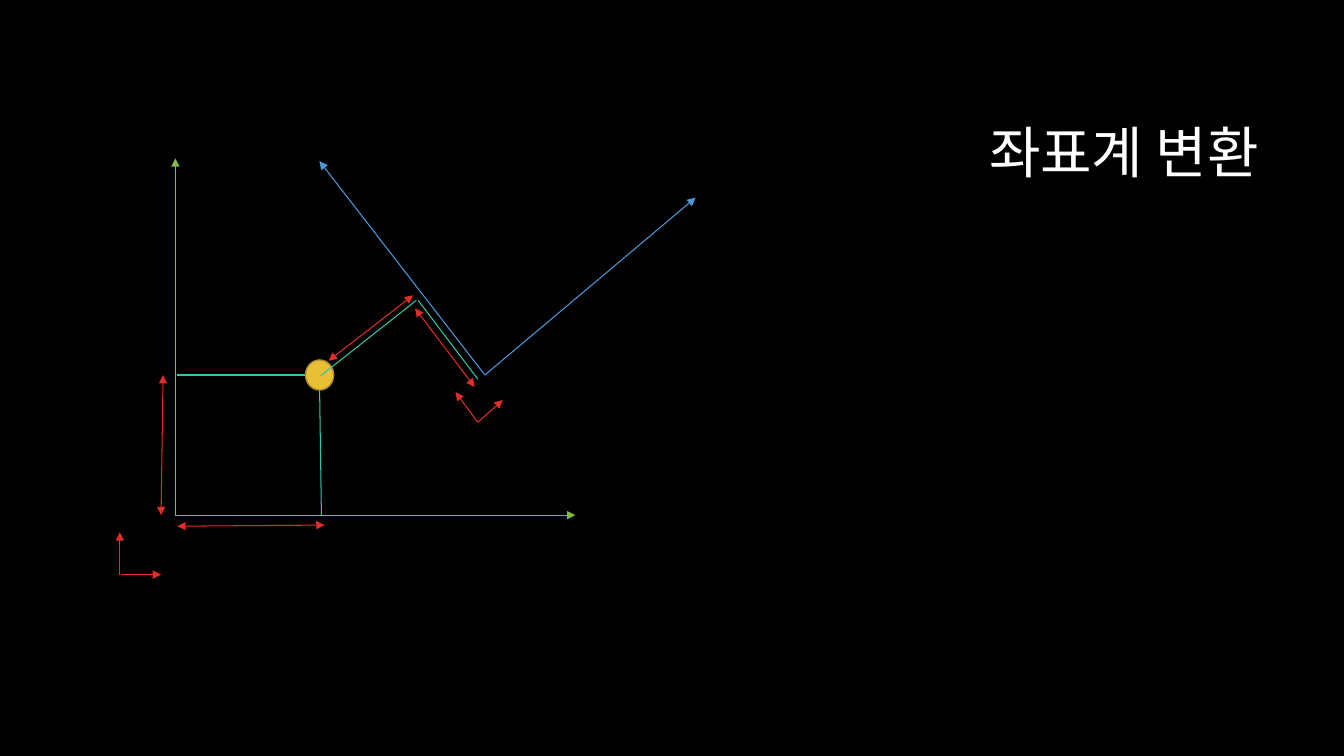
from dataclasses import dataclass

from lxml.etree import SubElement
from pptx import Presentation
from pptx.dml.color import RGBColor
from pptx.enum.shapes import MSO_CONNECTOR, MSO_SHAPE
from pptx.enum.text import MSO_ANCHOR, MSO_AUTO_SIZE, PP_ALIGN
from pptx.oxml.ns import qn
from pptx.slide import Slide
from pptx.util import Cm, Pt


@dataclass(frozen=True)
class Theme:
    background: str = "000000"
    title: str = "FFFFFF"
    world_axis: str = "81BB42"
    local_axis: str = "4A9BDC"
    projection: str = "32C7A9"
    measure: str = "DF2E28"
    point_fill: str = "E9BF35"
    point_line: str = "AC8D27"
    font: str = "Quicksand"
    title_size: float = 40
    line_width: float = 0.75
    point_line_width: float = 1


THEME = Theme()
Position = tuple[float, float]


@dataclass(frozen=True)
class Line:
    """A straight line, in centimetres, with arrowheads where asked."""
    start: Position
    end: Position
    color: str
    start_arrow: bool = False
    end_arrow: bool = False


def axis_pair(origin: Position, tips: list[Position], color: str) -> list[Line]:
    return [Line(origin, tip, color, end_arrow=True) for tip in tips]


def projection(start: Position, end: Position) -> Line:
    return Line(start, end, THEME.projection)


def dimension(start: Position, end: Position) -> Line:
    return Line(start, end, THEME.measure, start_arrow=True, end_arrow=True)


LINES_BEHIND_POINT = [
    *axis_pair((4.42, 12.98), [(14.5, 12.98), (4.42, 3.99)], THEME.world_axis),
    projection((8.13, 9.45), (4.45, 9.45)),
    projection((8.05, 9.53), (8.1, 12.98)),
]

LINES_OVER_POINT = [
    Line((3.05, 14.48), (4.06, 14.48), THEME.measure, end_arrow=True),
    Line((3.02, 14.5), (3.02, 13.41), THEME.measure, end_arrow=True),
    dimension((4.47, 13.26), (8.18, 13.23)),
    dimension((4.06, 12.98), (4.11, 9.45)),
    *axis_pair((12.22, 9.45), [(17.53, 4.98), (8.05, 4.06)], THEME.local_axis),
    *axis_pair((12.04, 10.64), [(12.67, 10.08), (11.48, 9.88)], THEME.measure),
    projection((10.54, 7.57), (12.04, 9.55)),
    projection((10.49, 7.57), (8.08, 9.47)),
    dimension((8.28, 9.09), (10.41, 7.44)),
    dimension((10.46, 7.77), (11.96, 9.75)),
]


def color_of(code: str) -> RGBColor:
    return RGBColor.from_string(code)


def draw_line(page: Slide, line: Line) -> None:
    connector = page.shapes.add_connector(
        MSO_CONNECTOR.STRAIGHT, *(Cm(value) for value in line.start + line.end))
    connector.line.color.rgb = color_of(line.color)
    connector.line.width = Pt(THEME.line_width)
    outline = connector.line._get_or_add_ln()
    for tag, wanted in (("a:headEnd", line.start_arrow), ("a:tailEnd", line.end_arrow)):
        if wanted:
            SubElement(outline, qn(tag), type="triangle")
    SubElement(connector._element.spPr, qn("a:effectLst"))


def draw_point(page: Slide) -> None:
    point = page.shapes.add_shape(
        MSO_SHAPE.FLOWCHART_CONNECTOR, Cm(7.7), Cm(9.07), Cm(0.71), Cm(0.76))
    point.shadow.inherit = False
    point.fill.solid()
    point.fill.fore_color.rgb = color_of(THEME.point_fill)
    point.line.color.rgb = color_of(THEME.point_line)
    point.line.width = Pt(THEME.point_line_width)


def write_title(page: Slide, text: str) -> None:
    title = page.shapes.title
    title.left, title.top, title.width, title.height = (
        Cm(8.05), Cm(2.13), Cm(23.93), Cm(3.58))
    frame = title.text_frame
    frame.text = text
    frame.word_wrap = True
    frame.auto_size = MSO_AUTO_SIZE.NONE
    frame.vertical_anchor = MSO_ANCHOR.MIDDLE
    para = frame.paragraphs[0]
    para.alignment = PP_ALIGN.RIGHT
    para.line_spacing = 0.9
    font = para.runs[0].font
    font.name = THEME.font
    font.size = Pt(THEME.title_size)
    font.color.rgb = color_of(THEME.title)


def main() -> None:
    deck = Presentation()
    deck.slide_width, deck.slide_height = Cm(33.87), Cm(19.05)
    page = deck.slides.add_slide(deck.slide_layouts.get_by_name("Title Only"))
    page.background.fill.solid()
    page.background.fill.fore_color.rgb = color_of(THEME.background)
    write_title(page, "좌표계 변환")
    for line in LINES_BEHIND_POINT:
        draw_line(page, line)
    draw_point(page)
    for line in LINES_OVER_POINT:
        draw_line(page, line)
    deck.save("out.pptx")


if __name__ == "__main__":
    main()
